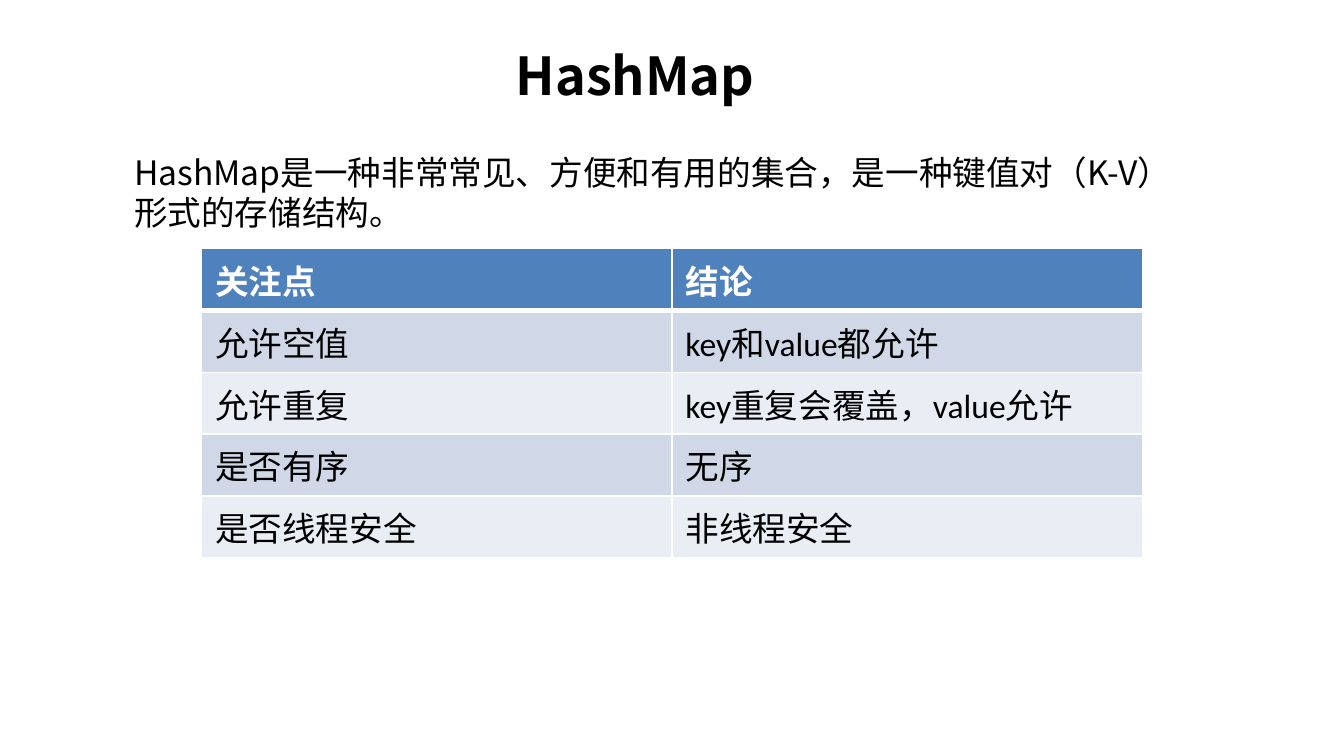
from pptx import Presentation
from pptx import util as u
from pptx.dml.color import RGBColor
from pptx.enum import text as t
from pptx.oxml.ns import qn
from lxml import etree

TITLE = "HashMap"
INTRO = "HashMap是一种非常常见、方便和有用的集合，是一种键值对（K-V）形式的存储结构。"
ROWS = [
    ("关注点", "结论"),
    ("允许空值", "key和value都允许"),
    ("允许重复", "key重复会覆盖，value允许"),
    ("是否有序", "无序"),
    ("是否线程安全", "非线程安全"),
]

THEME = {
    "heading_font": "Noto Sans CJK SC",
    "table_font": "Calibri",
    "title_size": 28,
    "body_size": 18,
    "ink": "000000",
    "header_ink": "FFFFFF",
    "header_fill": "4F81BD",
    "bands": ("D0D8E8", "E9EDF4"),
    "border": "FFFFFF",
    "border_width": 1,
    "header_rule_width": 3,
}

TITLE_BOX = (1.85, 0.35, 5.75, 0.41)
INTRO_BOX = (0.9, 1.08, 8.03, 4.39)
TABLE_BOX = (1.5, 1.85, 7, 2.08)
CELL_BOTTOM_MARGIN = 0.11


def inches(box):
    return [u.Inches(value) for value in box]


def write(frame, content, *, font, size, color=THEME["ink"], bold=False,
          east_asian=None, align=t.PP_ALIGN.LEFT, anchor=t.MSO_ANCHOR.TOP):
    frame.word_wrap = True
    frame.vertical_anchor = anchor
    paragraph = frame.paragraphs[0]
    paragraph.alignment = align
    run = paragraph.add_run()
    run.text = content
    run.font.name = font
    run.font.size = u.Pt(size)
    run.font.bold = bold
    run.font.color.rgb = RGBColor.from_string(color)
    if east_asian:
        etree.SubElement(run.font._element, qn("a:ea"), typeface=east_asian)
    return paragraph


def set_borders(cell, **widths):
    """Draw the L, R, T and B borders, each with its width in points."""
    properties = cell._tc.get_or_add_tcPr()
    for index, side in enumerate("LRTB"):
        width = widths.get(side, THEME["border_width"])
        line = etree.Element(qn(f"a:ln{side}"), w=str(u.Pt(width)))
        fill = etree.SubElement(line, qn("a:solidFill"))
        etree.SubElement(fill, qn("a:srgbClr"), val=THEME["border"])
        properties.insert(index, line)


def add_title(slide):
    title = slide.shapes.title
    title.left, title.top, title.width, title.height = inches(TITLE_BOX)
    write(title.text_frame, TITLE, font=THEME["heading_font"],
          east_asian=THEME["heading_font"], size=THEME["title_size"], bold=True,
          align=t.PP_ALIGN.CENTER, anchor=t.MSO_ANCHOR.MIDDLE)


def add_intro(slide):
    box = slide.shapes.add_textbox(*inches(INTRO_BOX))
    paragraph = write(box.text_frame, INTRO, font=THEME["heading_font"],
                      east_asian=THEME["heading_font"], size=THEME["body_size"])
    paragraph.space_before = u.Pt(0.2 * THEME["body_size"])


def add_comparison_table(slide):
    table = slide.shapes.add_table(len(ROWS), len(ROWS[0]), *inches(TABLE_BOX)).table
    for r, row in enumerate(ROWS):
        header = r == 0
        fill = THEME["header_fill"] if header else THEME["bands"][(r - 1) % 2]
        rule = THEME["header_rule_width"]
        borders = {0: {"B": rule}, 1: {"T": rule}}.get(r, {})
        for c, content in enumerate(row):
            cell = table.cell(r, c)
            cell.margin_bottom = u.Inches(CELL_BOTTOM_MARGIN)
            cell.fill.solid()
            cell.fill.fore_color.rgb = RGBColor.from_string(fill)
            set_borders(cell, **borders)
            write(cell.text_frame, content, font=THEME["table_font"],
                  size=THEME["body_size"], bold=header,
                  color=THEME["header_ink"] if header else THEME["ink"])


def main():
    presentation = Presentation()
    presentation.slide_width = u.Inches(10)
    presentation.slide_height = u.Inches(10 * 9 / 16)
    title_only = presentation.slide_layouts[5]
    slide = presentation.slides.add_slide(title_only)
    add_title(slide)
    add_intro(slide)
    add_comparison_table(slide)
    presentation.save("out.pptx")


if __name__ == "__main__":
    main()
